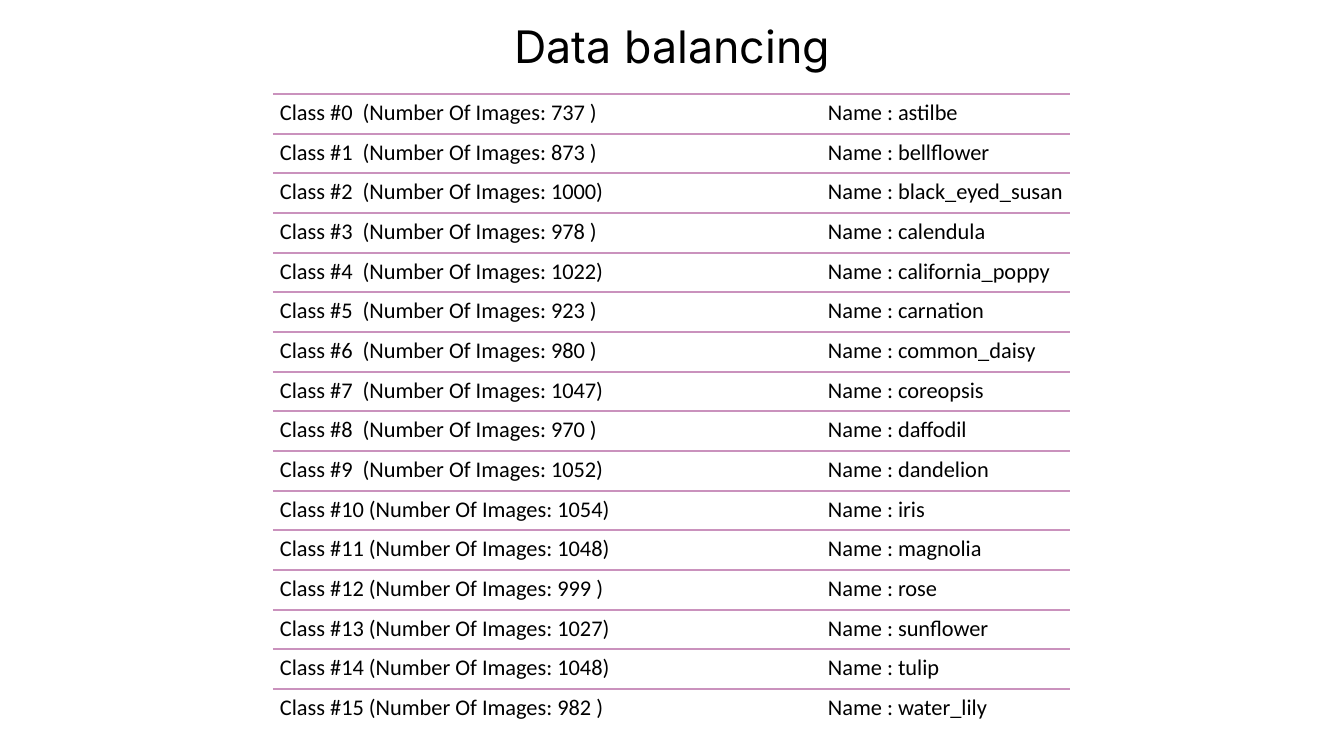
import dataclasses

import lxml.etree
import pptx
import pptx.dml.color
import pptx.enum.shapes
import pptx.enum.text
import pptx.oxml.ns
import pptx.slide
import pptx.text.text
import pptx.util

BLACK = pptx.dml.color.RGBColor(0x00, 0x00, 0x00)
MAUVE = pptx.dml.color.RGBColor(0xCA, 0x92, 0xBD)

# Layout in px, 100.8 to the inch
LEFT, WIDTH = 273, 797
FIRST_TOP, LAST_TOP, ROW_HEIGHT = 94, 689, 39
INSET = 7
NAME_TAB = 548


@dataclasses.dataclass(frozen=True)
class FlowerClass:
    name: str
    images: int


FLOWERS = [
    FlowerClass("astilbe", 737),
    FlowerClass("bellflower", 873),
    FlowerClass("black_eyed_susan", 1000),
    FlowerClass("calendula", 978),
    FlowerClass("california_poppy", 1022),
    FlowerClass("carnation", 923),
    FlowerClass("common_daisy", 980),
    FlowerClass("coreopsis", 1047),
    FlowerClass("daffodil", 970),
    FlowerClass("dandelion", 1052),
    FlowerClass("iris", 1054),
    FlowerClass("magnolia", 1048),
    FlowerClass("rose", 999),
    FlowerClass("sunflower", 1027),
    FlowerClass("tulip", 1048),
    FlowerClass("water_lily", 982),
]


def px(n: int) -> pptx.util.Emu:
    return pptx.util.Emu(round(n * 914400 / 100.8))


def add_run(p: pptx.text.text._Paragraph, text: str, font: str, size: int) -> None:
    r = p.add_run()
    r.text = text
    r.font.name = font
    r.font.size = pptx.util.Pt(size)
    r.font.color.rgb = BLACK


def add_title(s: pptx.slide.Slide, text: str) -> None:
    sp = s.shapes.title
    sp.left, sp.top, sp.width, sp.height = px(357), px(14), px(631), px(65)
    tf = sp.text_frame
    tf.word_wrap = True
    tf.vertical_anchor = pptx.enum.text.MSO_ANCHOR.TOP
    p = tf.paragraphs[0]
    p.alignment = pptx.enum.text.PP_ALIGN.CENTER
    add_run(p, text, "Inter", 32)


def add_rule(s: pptx.slide.Slide, top: int) -> None:
    line = s.shapes.add_connector(
        pptx.enum.shapes.MSO_CONNECTOR.STRAIGHT,
        px(LEFT), px(top), px(LEFT + WIDTH), px(top))
    line.line.color.rgb = MAUVE
    line.line.width = pptx.util.Pt(1)
    lxml.etree.SubElement(line._element.spPr, pptx.oxml.ns.qn("a:effectLst"))


def add_name_tab(p: pptx.text.text._Paragraph) -> None:
    tabs = lxml.etree.SubElement(p._p.get_or_add_pPr(), pptx.oxml.ns.qn("a:tabLst"))
    lxml.etree.SubElement(tabs, pptx.oxml.ns.qn("a:tab"), pos=str(px(NAME_TAB)), algn="l")


def add_row(s: pptx.slide.Slide, number: int, flower: FlowerClass, top: int) -> None:
    add_rule(s, top)
    sp = s.shapes.add_textbox(px(LEFT), px(top), px(WIDTH), px(ROW_HEIGHT))
    tf = sp.text_frame
    tf.word_wrap = True
    tf.margin_left = tf.margin_right = tf.margin_top = tf.margin_bottom = px(INSET)
    p = tf.paragraphs[0]
    p.line_spacing = 0.9
    add_name_tab(p)
    # Numbers are padded to a fixed count of characters
    add_run(p, f"Class #{number:<2} (Number Of Images: {flower.images:<4})"
               f"\tName : {flower.name}", "Calibri", 16)


def main() -> None:
    prs = pptx.Presentation()
    prs.slide_width, prs.slide_height = px(1344), px(756)
    s = prs.slides.add_slide(prs.slide_layouts.get_by_name("Title Only"))

    # Title
    add_title(s, "Data balancing")

    # Evenly spaced rows
    for i, flower in enumerate(FLOWERS):
        top = FIRST_TOP + round(i * (LAST_TOP - FIRST_TOP) / (len(FLOWERS) - 1))
        add_row(s, i, flower, top)

    prs.save("out.pptx")


if __name__ == "__main__":
    main()
